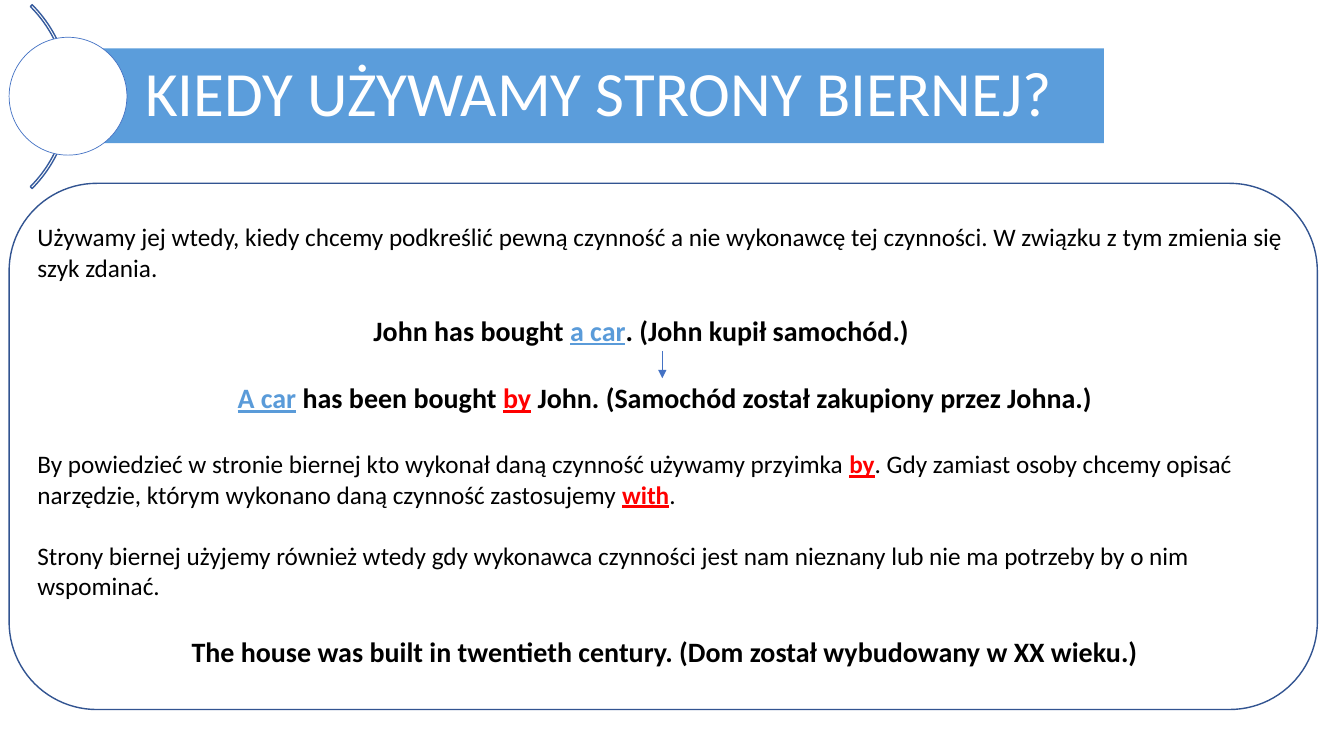
from lxml.etree import SubElement
from pptx import Presentation
from pptx.dml.color import RGBColor
from pptx.enum.shapes import MSO_CONNECTOR, MSO_SHAPE
from pptx.enum.text import MSO_ANCHOR, MSO_AUTO_SIZE, PP_ALIGN
from pptx.oxml.ns import qn
from pptx.util import Cm, Pt

WHITE = RGBColor(0xFF, 0xFF, 0xFF)
BLACK = RGBColor(0, 0, 0)
RED = RGBColor(0xFF, 0, 0)
SKY = RGBColor(0x5A, 0x9B, 0xD9)
BAR_BLUE = RGBColor(0x5B, 0x9D, 0xDB)
ARC_BLUE = RGBColor(0x36, 0x5B, 0x9D)
PANEL_BLUE = RGBColor(0x32, 0x54, 0x91)
LINE_BLUE = RGBColor(0x44, 0x72, 0xC4)

TITLE = "KIEDY UŻYWAMY STRONY BIERNEJ?"
RULE, EXAMPLE = "rule", "example"
STYLES = {
    RULE: {"size": 18, "bold": False, "align": PP_ALIGN.LEFT},
    EXAMPLE: {"size": 20, "bold": True, "align": PP_ALIGN.CENTER},
}
# Each entry: style, space before in points, right margin in cm, (text, highlight) spans
PARAGRAPHS = [
    (RULE, 0, 0, [
        ("Używamy jej wtedy, kiedy chcemy podkreślić pewną czynność a nie "
         "wykonawcę tej czynności. W związku z tym zmienia się szyk zdania.", None)]),
    (EXAMPLE, 22, 1.19, [
        ("John has bought ", None), ("a car", SKY),
        (". (John kupił samochód.)", None)]),
    (EXAMPLE, 24.4, 0, [
        ("A car", SKY), (" has been bought ", None), ("by", RED),
        (" John. (Samochód został zakupiony przez Johna.)", None)]),
    (RULE, 24.4, 0, [
        ("By powiedzieć w stronie biernej kto wykonał daną czynność używamy "
         "przyimka ", None), ("by", RED),
        (". Gdy zamiast osoby chcemy opisać narzędzie, którym wykonano daną "
         "czynność zastosujemy ", None), ("with", RED), (".", None)]),
    (RULE, 22, 0, [
        ("Strony biernej użyjemy również wtedy gdy wykonawca czynności jest nam "
         "nieznany lub nie ma potrzeby by o nim wspominać.", None)]),
    (EXAMPLE, 24.4, 0, [
        ("The house was built in twentieth century. (Dom został wybudowany w XX "
         "wieku.)", None)]),
]


def add_span(para, text, size=18, color=BLACK, bold=False, underline=False):
    """Append formatted text to a paragraph."""
    span = para.add_run()
    span.text = text
    font = span.font
    font.name, font.size, font.color.rgb = "Calibri", Pt(size), color
    font.bold, font.underline = bold, underline


def place(box, left, top, width, height):
    """Set the position and size of a box in centimetres."""
    box.left, box.top = Cm(left), Cm(top)
    box.width, box.height = Cm(width), Cm(height)


def add_outline(page, kind, bounds, color, weight, fill=None):
    """Add an outlined shape with an optional fill."""
    shape = page.shapes.add_shape(kind, *map(Cm, bounds))
    shape.shadow.inherit = False
    shape.line.color.rgb, shape.line.width = color, Pt(weight)
    if fill is None:
        shape.fill.background()
    else:
        shape.fill.solid()
        shape.fill.fore_color.rgb = fill
    return shape


def fill_title(box):
    """Turn the title placeholder into the blue heading bar."""
    place(box, 1.73, 1.22, 26.09, 2.39)
    box.fill.solid()
    box.fill.fore_color.rgb = BAR_BLUE
    frame = box.text_frame
    frame.auto_size, frame.word_wrap = MSO_AUTO_SIZE.NONE, True
    frame.vertical_anchor = MSO_ANCHOR.MIDDLE
    frame.margin_left = Cm(1.93)
    frame.margin_top = frame.margin_right = frame.margin_bottom = Cm(0.3)
    para = frame.paragraphs[0]
    para.alignment, para.line_spacing = PP_ALIGN.LEFT, 0.9
    add_span(para, TITLE, size=45, color=WHITE)


def fill_body(box):
    """Write the rules and examples into the body placeholder."""
    place(box, 0.69, 5.46, 32.13, 12.4)
    frame = box.text_frame
    frame.auto_size, frame.word_wrap = MSO_AUTO_SIZE.NONE, True
    frame.vertical_anchor = MSO_ANCHOR.TOP
    for index, (style, gap, margin, spans) in enumerate(PARAGRAPHS):
        para = frame.add_paragraph() if index else frame.paragraphs[0]
        look = STYLES[style]
        para.alignment = look["align"]
        para.space_before, para.space_after = Pt(gap), Pt(0)
        props = para._p.get_or_add_pPr()
        for name, value in (("marL", 0), ("marR", Cm(margin)), ("indent", 0)):
            props.set(name, str(int(value)))
        SubElement(props, qn("a:buNone"))
        for text, highlight in spans:
            add_span(para, text, size=look["size"], color=highlight or BLACK,
                     bold=look["bold"] or highlight is not None,
                     underline=highlight is not None)


def add_arrow(page, x, top, bottom):
    """Add a thin arrow pointing down."""
    arrow = page.shapes.add_connector(
        MSO_CONNECTOR.STRAIGHT, Cm(x), Cm(top), Cm(x), Cm(bottom))
    arrow.line.color.rgb, arrow.line.width = LINE_BLUE, Pt(0.5)
    SubElement(arrow.line._get_or_add_ln(), qn("a:tailEnd"), type="triangle")
    SubElement(arrow._element.spPr, qn("a:effectLst"))


def main():
    """Build the slide and save it."""
    deck = Presentation()
    deck.slide_width, deck.slide_height = Cm(33.87), Cm(19.05)
    page = deck.slides.add_slide(deck.slide_layouts[1])
    fill_title(page.shapes.title)
    fill_body(page.placeholders[1])
    arc = add_outline(page, MSO_SHAPE.BLOCK_ARC, (-4.78, -0.84, 6.55, 6.55), ARC_BLUE, 1)
    for index, value in enumerate((189, 27, 0.01)):
        arc.adjustments[index] = value
    add_outline(page, MSO_SHAPE.OVAL, (0.23, 0.94, 2.97, 2.97), LINE_BLUE, 0.5, fill=WHITE)
    add_outline(page, MSO_SHAPE.ROUNDED_RECTANGLE, (0.23, 4.62, 32.97, 13.26), PANEL_BLUE, 1)
    add_arrow(page, 16.69, 8.84, 9.53)
    deck.save("out.pptx")


if __name__ == "__main__":
    main()
